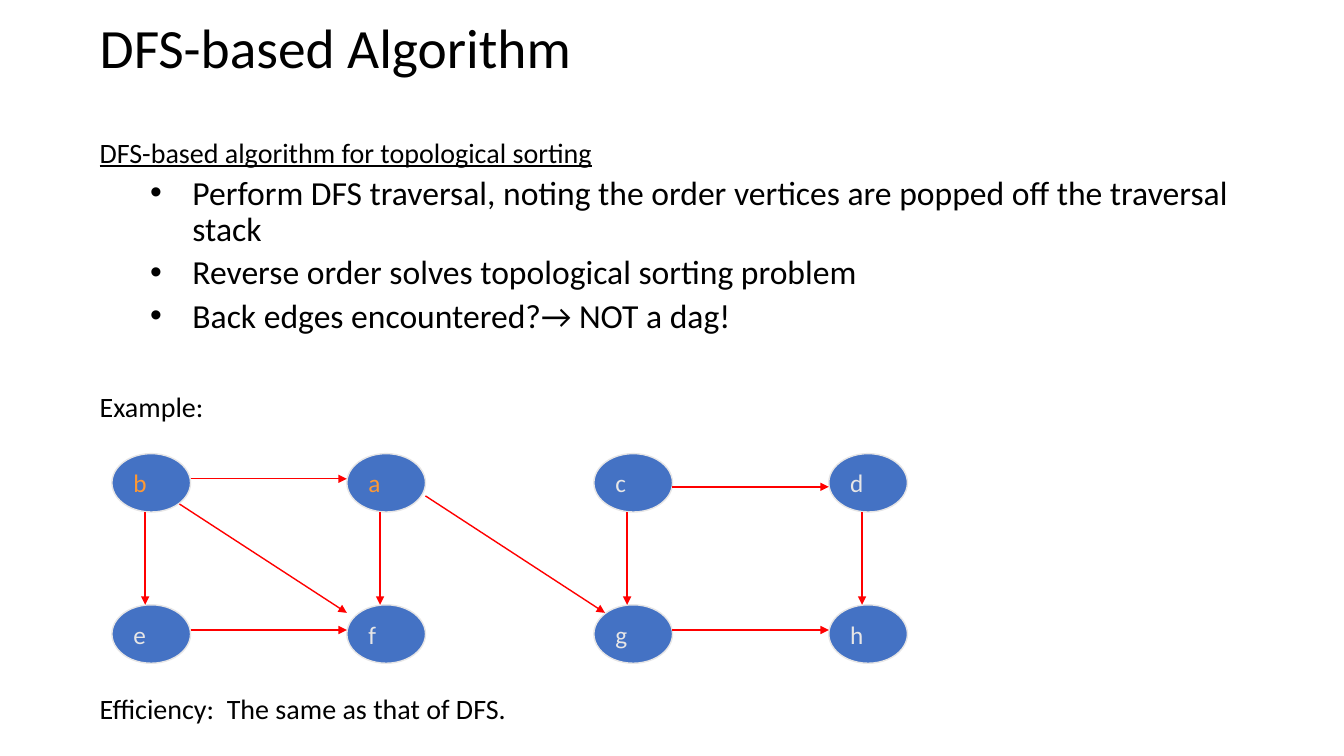
from dataclasses import dataclass

from lxml import etree
from pptx import Presentation
from pptx import util as u
from pptx.dml.color import RGBColor
from pptx.enum import shapes, text
from pptx.oxml import ns


@dataclass(frozen=True)
class Theme:
    font: str = "Calibri"
    ink: str = "000000"
    node: str = "4472C4"
    pale: str = "E7E6E6"
    start: str = "FF9933"
    edge: str = "FF0000"
    title: float = 39.6
    lead: float = 20
    bullet: float = 24
    label: float = 18


class Deck:
    def __init__(self, theme):
        self.theme = theme
        self.presentation = Presentation()
        self.presentation.slide_width = u.Inches(13.33)
        self.presentation.slide_height = u.Inches(7.5)
        self.slide = self.presentation.slides.add_slide(self.presentation.slide_layouts[6])

    def add_words(self, paragraph, words, size, color, underline=False):
        run = paragraph.add_run()
        run.text = words
        run.font.name = self.theme.font
        run.font.size = u.Pt(size)
        run.font.color.rgb = RGBColor.from_string(color)
        run.font.underline = underline

    def textbox(self, left, top, width, height, words, size, underline=False,
                anchor=text.MSO_ANCHOR.TOP):
        box = self.slide.shapes.add_textbox(*map(u.Inches, (left, top, width, height)))
        frame = box.text_frame
        frame.word_wrap = True
        frame.vertical_anchor = anchor
        paragraph = frame.paragraphs[0]
        paragraph.line_spacing = 0.9
        self.add_words(paragraph, words, size, self.theme.ink, underline)
        return frame

    def bullet(self, frame, words):
        paragraph = frame.add_paragraph()
        props = paragraph._p.get_or_add_pPr()
        props.set("marL", str(u.Inches(0.92)))
        props.set("indent", str(u.Inches(-0.42)))
        etree.SubElement(props, ns.qn("a:buFont")).set("typeface", "Arial")
        etree.SubElement(props, ns.qn("a:buChar")).set("char", "•")
        paragraph.line_spacing = 0.9
        paragraph.space_before = u.Pt(5)
        self.add_words(paragraph, words, self.theme.bullet, self.theme.ink)

    def vertex(self, left, top, name, color):
        oval = self.slide.shapes.add_shape(
            shapes.MSO_SHAPE.OVAL, *map(u.Inches, (left, top, 0.78, 0.58)))
        oval.shadow.inherit = False
        oval.fill.solid()
        oval.fill.fore_color.rgb = RGBColor.from_string(self.theme.node)
        oval.line.color.rgb = RGBColor.from_string(self.theme.pale)
        oval.line.width = u.Pt(1)
        frame = oval.text_frame
        frame.word_wrap = False
        frame.vertical_anchor = text.MSO_ANCHOR.MIDDLE
        paragraph = frame.paragraphs[0]
        paragraph.alignment = text.PP_ALIGN.LEFT
        self.add_words(paragraph, name, self.theme.label, color)

    def arrow(self, *ends):
        edge = self.slide.shapes.add_connector(
            shapes.MSO_CONNECTOR.STRAIGHT, *map(u.Inches, ends))
        edge.line.color.rgb = RGBColor.from_string(self.theme.edge)
        edge.line.width = u.Pt(1)
        properties = edge._element.spPr
        outline = properties.find(ns.qn("a:ln"))
        etree.SubElement(outline, ns.qn("a:tailEnd")).set("type", "triangle")
        etree.SubElement(properties, ns.qn("a:effectLst"))


def main():
    theme = Theme()
    deck = Deck(theme)
    deck.textbox(0.89, 0.17, 11.89, 0.67, "DFS-based Algorithm", theme.title,
                 anchor=text.MSO_ANCHOR.MIDDLE)
    steps = deck.textbox(0.89, 1.33, 12.11, 2.2, "DFS-based algorithm for topological sorting",
                         theme.lead, underline=True)
    for step in (
        "Perform DFS traversal, noting the order vertices are popped off the traversal stack",
        "Reverse order solves topological sorting problem",
        "Back edges encountered?→ NOT a dag!",
    ):
        deck.bullet(steps, step)
    deck.textbox(0.89, 3.85, 12.11, 0.4, "Example:", theme.lead)
    deck.textbox(0.89, 6.85, 12.11, 0.4, "Efficiency:  The same as that of DFS.", theme.lead)

    columns = (1.11, 3.44, 5.89, 8.22)
    for top, names in ((4.5, "bacd"), (6, "efgh")):
        for left, name in zip(columns, names):
            deck.vertex(left, top, name, theme.start if name in "ab" else theme.pale)

    for left in columns:
        deck.arrow(left + 0.33, 5.08, left + 0.33, 6)
    for left, upper in ((1.89, 4.75), (6.67, 4.83)):
        for y in (upper, 6.25):
            deck.arrow(left, y, left + 1.55, y)
    deck.arrow(1.78, 5, 3.44, 6.08)
    deck.arrow(4.22, 4.92, 6, 6.08)

    deck.presentation.save("out.pptx")


if __name__ == "__main__":
    main()
